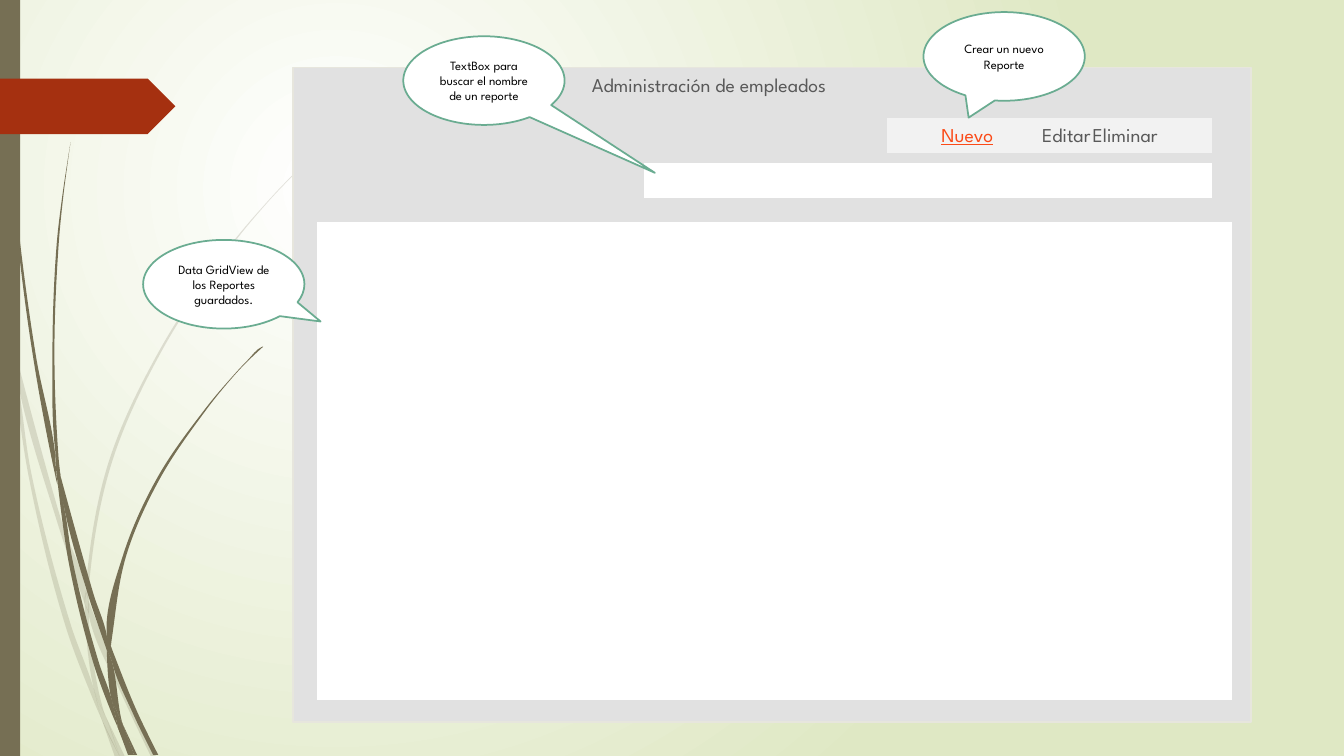
from math import dist
from lxml import etree
from pptx import Presentation
from pptx.dml.color import RGBColor
from pptx.enum.shapes import MSO_SHAPE
from pptx.enum.text import MSO_ANCHOR, PP_ALIGN
from pptx.oxml.ns import qn
from pptx.util import Inches, Pt

FONT = "League Spartan"
COLORS = {
    "white": "FFFFFF", "meadow": "DFE8C4", "stem": "766F54", "banner": "A53010",
    "panel": "E1E1E1", "panel_edge": "E7E6DD", "toolbar": "F2F2F2",
    "text": "595959", "link": "FB4A18", "callout_edge": "6AAC91", "black": "000000",
}

# Outlines of the blades of grass
PALE_BLADES = [
    [(0.11, 3.5), (0.09, 3.22), (0, 2.82), (0, 2.99), (0.1, 3.44)],
    [(0.58, 5.22), (0.84, 5.99), (0.85, 5.86), (0.62, 5.2), (0.14, 3.45), (0.17, 3.76)],
    [(0.92, 6.07), (0.88, 5.96), (0.88, 6.1), (1.23, 6.94), (1.5, 7.51), (1.55, 7.51), (1.27, 6.92)],
    [(1.19, 7.51), (1.24, 7.51), (1.05, 7.11)],
    [(0.93, 6.83), (0.7, 6.19), (0.31, 4.69), (0.17, 3.76), (0.11, 3.5), (0.28, 4.7), (0.65, 6.21),
     (0.92, 6.93), (1.01, 7.14), (0.99, 7.07)],
    [(0.84, 5.99), (0.87, 6.46), (0.93, 6.83), (0.96, 6.92), (1.05, 7.11), (1.03, 7.06), (0.91, 6.46),
     (0.88, 6.1), (0.88, 6.08)],
    [(0.88, 5.84), (1.1, 4.62), (1.6, 3.49), (2.29, 2.45), (2.68, 1.98), (2.9, 1.75), (3.12, 1.54),
     (3.12, 1.53), (2.89, 1.75), (2.68, 1.97), (2.28, 2.44), (1.58, 3.48), (1.07, 4.61), (0.85, 5.84),
     (0.85, 5.86), (0.88, 5.96)],
    [(1.01, 7.14), (1.14, 7.51), (1.19, 7.51)],
    [(0.88, 6.08), (0.88, 6.1), (0.88, 5.96), (0.85, 5.86), (0.84, 5.99)],
    [(0.96, 6.92), (0.93, 6.83), (0.99, 7.07), (1.01, 7.14), (1.19, 7.51), (1.05, 7.11)],
]
DARK_BLADES = [
    [(0.07, 1.1), (0.17, 2.33), (0.33, 3.55), (0.56, 4.77), (0.57, 4.81), (0.55, 4.57), (0.55, 4.53),
     (0.36, 3.55), (0.19, 2.32), (0.08, 1.09), (0.05, 0.48), (0.04, 0), (0.03, 0), (0.04, 0.48)],
    [(0.88, 5.92), (1.06, 6.45), (1.06, 6.33), (1.06, 6.31), (0.93, 5.9), (0.6, 4.72), (0.64, 5.05)],
    [(1.13, 6.49), (1.1, 6.41), (1.11, 6.56), (1.32, 7.08), (1.52, 7.49), (1.57, 7.49), (1.36, 7.06)],
    [(1.1, 6.91), (0.98, 6.57), (0.72, 5.56), (0.64, 5.05), (0.57, 4.77), (0.68, 5.57), (0.93, 6.59),
     (1.11, 7.08), (1.17, 7.22), (1.16, 7.17)],
    [(0.6, 4.72), (0.58, 4.53), (0.54, 3.49), (0.58, 2.45), (0.63, 1.93), (0.7, 1.41), (0.62, 1.93),
     (0.56, 2.45), (0.52, 3.49), (0.55, 4.49)],
    [(1.33, 7.49), (1.36, 7.49), (1.22, 7.19)],
    [(0.57, 4.77), (0.64, 5.05), (0.6, 4.72), (0.55, 4.49), (0.55, 4.53)],
    [(1.11, 6.33), (1.25, 5.52), (1.58, 4.76), (2.05, 4.06), (2.31, 3.74), (2.45, 3.59), (2.61, 3.44),
     (2.6, 3.44), (2.45, 3.58), (2.31, 3.73), (2.04, 4.05), (1.56, 4.74), (1.22, 5.51), (1.06, 6.31),
     (1.1, 6.41)],
    [(1.17, 7.22), (1.27, 7.49), (1.31, 7.49)],
    [(1.06, 6.45), (1.1, 6.91), (1.16, 7.06), (1.22, 7.19), (1.21, 7.16), (1.11, 6.56), (1.09, 6.51)],
    [(1.06, 6.45), (1.09, 6.51), (1.11, 6.56), (1.1, 6.41), (1.06, 6.31), (1.06, 6.33)],
    [(1.16, 7.06), (1.1, 6.91), (1.16, 7.17), (1.17, 7.22), (1.3, 7.49), (1.33, 7.49), (1.22, 7.19)],
]


def rgb(name):
    return RGBColor.from_string(COLORS[name])


def paint(shape, fill, edge=None, width=1.25):
    shape.shadow.inherit = False
    shape.fill.solid()
    shape.fill.fore_color.rgb = rgb(fill)
    if edge:
        shape.line.color.rgb = rgb(edge)
        shape.line.width = Pt(width)
    else:
        shape.line.fill.background()


def add_block(slide, box, fill, edge=None, width=1.25, kind=MSO_SHAPE.RECTANGLE):
    block = slide.shapes.add_shape(kind, *(Inches(length) for length in box))
    paint(block, fill, edge, width)
    return block


def add_text(paragraph, text, size=14, color="text", align=PP_ALIGN.LEFT, underline=None):
    paragraph.alignment = align
    run = paragraph.add_run()
    run.text = text
    run.font.name = FONT
    run.font.size = Pt(size)
    run.font.color.rgb = rgb(color)
    run.font.underline = underline


def tangent(before, point, after):
    """Direction of the outline at a point; none at a sharp corner."""
    (ax, ay), (bx, by) = [((q[0] - p[0]) / dist(p, q), (q[1] - p[1]) / dist(p, q))
                          for p, q in ((before, point), (point, after))]
    return ((ax + bx) / 2, (ay + by) / 2) if ax * bx + ay * by > 0.7 else (0, 0)


def add_blade(slide, outline, opacity):
    corners = [(Inches(x), Inches(y)) for x, y in outline]
    following = corners[1:] + corners[:1]
    builder = slide.shapes.build_freeform(*corners[0])
    builder.add_line_segments(following)
    blade = builder.convert_to_shape()
    paint(blade, "stem")
    tangents = [tangent(*three) for three in zip(corners[-1:] + corners, corners, following)]

    # Bend each side of the outline
    sides = list(blade.element.iter(qn("a:lnTo")))
    for side, start, end, leave, arrive in zip(sides, corners, following, tangents,
                                               tangents[1:] + tangents[:1]):
        reach = dist(start, end) / 3
        curve = etree.Element(qn("a:cubicBezTo"))
        for (x, y), (dx, dy), pull in ((start, leave, reach), (end, arrive, -reach), (end, arrive, 0)):
            etree.SubElement(curve, qn("a:pt"), x=str(round(x + dx * pull - blade.left)),
                             y=str(round(y + dy * pull - blade.top)))
        side.getparent().replace(side, curve)
    if opacity < 100:
        color = blade.element.spPr.find(qn("a:solidFill"))[0]
        etree.SubElement(color, qn("a:alpha"), val=str(opacity * 1000))


def add_background(slide):
    fill = slide.background.fill
    fill.gradient()
    for stop, name, position in zip(fill.gradient_stops, ("white", "meadow"), (0, 1)):
        stop.color.rgb = rgb(name)
        stop.position = position
    linear = slide.element.find(".//" + qn("a:lin"))
    radial = etree.Element(qn("a:path"), path="circle")
    etree.SubElement(radial, qn("a:fillToRect"), l="50000", t="50000", r="100000", b="100000")
    linear.getparent().replace(linear, radial)


def add_decoration(slide):
    for blades, opacity in ((PALE_BLADES, 20), (DARK_BLADES, 100)):
        for outline in blades:
            add_blade(slide, outline, opacity)
    add_block(slide, (0, 0, 0.2, 7.5), "stem")
    add_block(slide, (0, 0.78, 1.74, 0.55), "banner", kind=MSO_SHAPE.PENTAGON)


def add_toolbar(slide, box):
    toolbar = add_block(slide, box, "toolbar", "panel", 0.75)
    toolbar.text_frame.vertical_anchor = MSO_ANCHOR.TOP
    commands = toolbar.text_frame.paragraphs[0]
    tabs = etree.SubElement(commands._p.get_or_add_pPr(), qn("a:tabLst"))
    for stop in (1, 1.5):
        etree.SubElement(tabs, qn("a:tab"), pos=str(Inches(stop)), algn="l")
    add_text(commands, "Nuevo", color="link", align=PP_ALIGN.CENTER, underline=True)
    add_text(commands, "\tEditar\tEliminar", align=PP_ALIGN.CENTER)


def add_form(slide, left, top, width, height):
    panel = add_block(slide, (left, top, width, height), "panel", "panel_edge")

    # Form title, kept in front of the panel
    title = slide.shapes.title
    title.left, title.top = Inches(left + 2.86), Inches(top)
    title.width, title.height = Inches(3.78), Inches(0.41)
    title.text_frame.word_wrap = True
    title.text_frame.vertical_anchor = MSO_ANCHOR.TOP
    add_text(title.text_frame.paragraphs[0], "Administración de empleados")
    panel.element.addnext(title.element)

    # Search field, report grid and commands
    add_block(slide, (left + 3.47, top + 0.94, 5.65, 0.36), "white", "panel")
    add_block(slide, (left + 0.23, top + 1.52, width - 0.41, height - 1.73), "white", "panel")
    add_toolbar(slide, (left + 5.88, top + 0.5, 3.24, 0.35))


def add_callout(slide, left, top, text, tip):
    callout = add_block(slide, (left, top, 1.6, 0.88), "white", "callout_edge",
                        kind=MSO_SHAPE.OVAL_CALLOUT)
    for index, offset in enumerate(tip):
        callout.adjustments[index] = offset
    callout.text_frame.word_wrap = True
    callout.text_frame.vertical_anchor = MSO_ANCHOR.MIDDLE
    add_text(callout.text_frame.paragraphs[0], text, size=9, color="black", align=PP_ALIGN.CENTER)


def main():
    presentation = Presentation()
    presentation.slide_width, presentation.slide_height = Inches(13.33), Inches(7.5)
    slide = presentation.slides.add_slide(presentation.slide_layouts[5])
    add_background(slide)
    add_decoration(slide)
    add_form(slide, 2.91, 0.67, 9.5, 6.49)
    add_callout(slide, 9.16, 0.12, "Crear un nuevo Reporte", (-0.22, 0.69))
    add_callout(slide, 1.42, 2.38, "Data GridView de los Reportes guardados.", (0.6, 0.42))
    add_callout(slide, 4, 0.36, "TextBox para buscar el nombre de un reporte", (1.06, 1.04))
    presentation.save("out.pptx")


if __name__ == "__main__":
    main()
